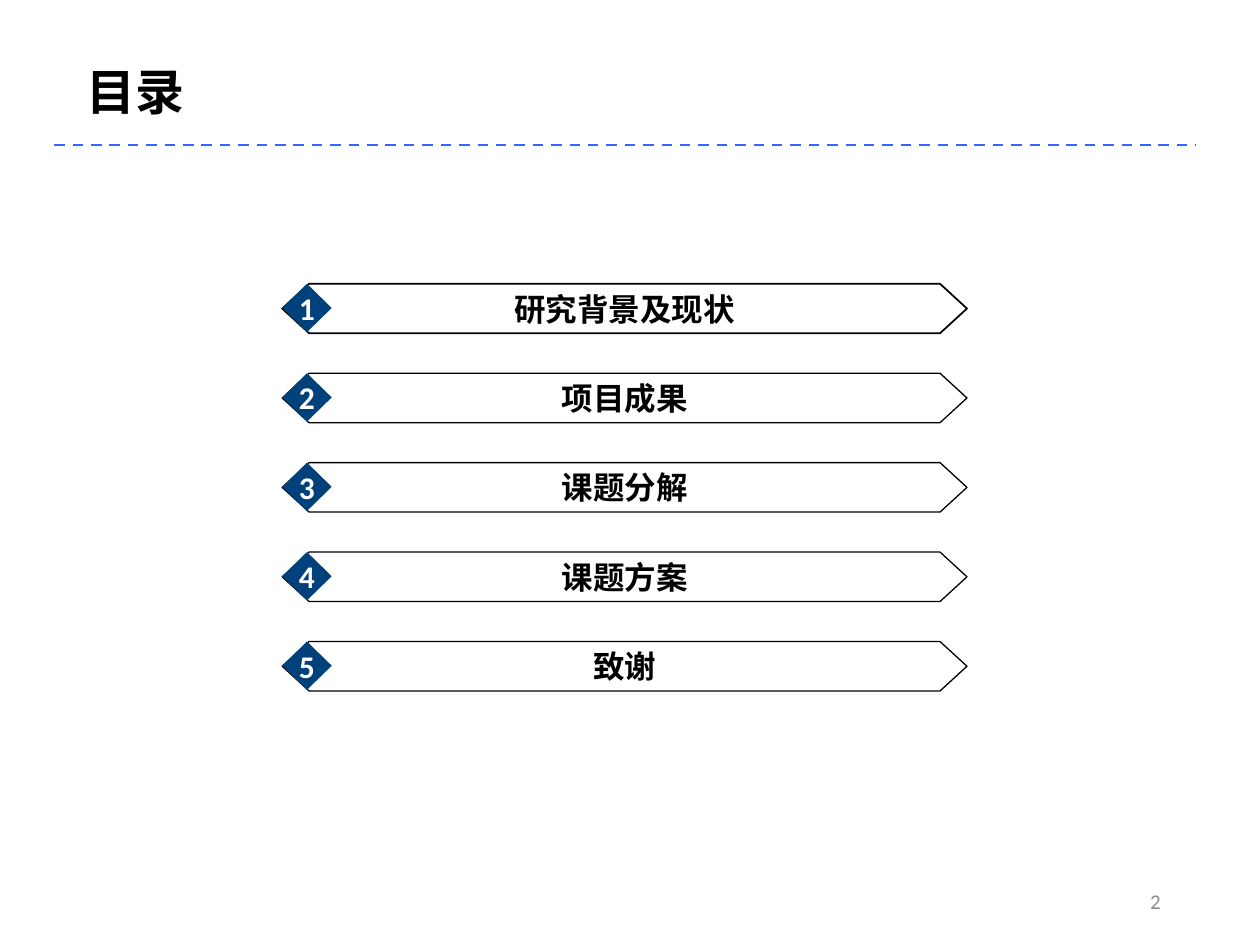
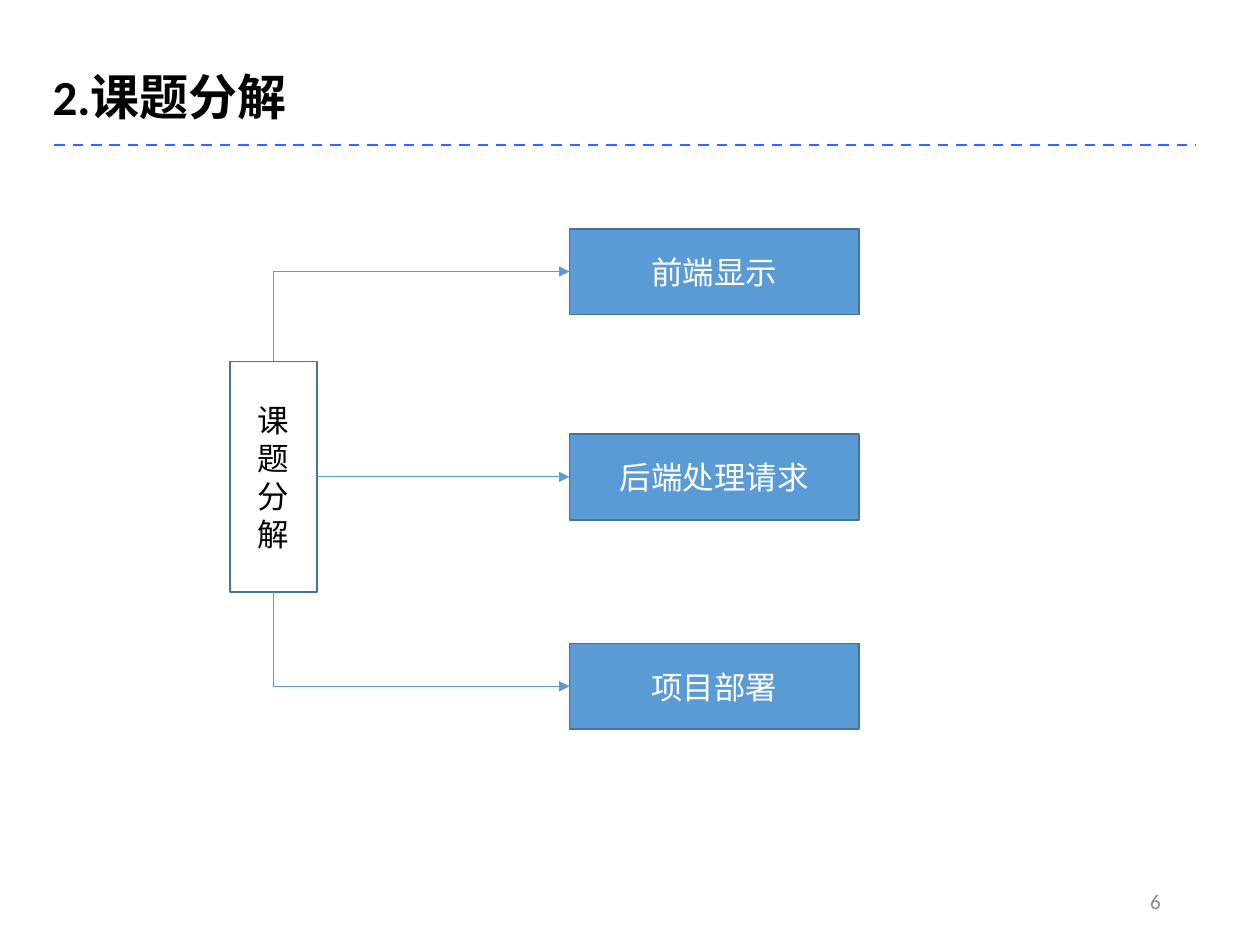
from lxml.etree import SubElement
from pptx import Presentation
from pptx.dml.color import RGBColor
from pptx.enum.dml import MSO_LINE
from pptx.enum.shapes import MSO_CONNECTOR, MSO_SHAPE
from pptx.enum.text import MSO_ANCHOR, PP_ALIGN
from pptx.oxml.ns import qn
from pptx.util import Pt

BLACK = RGBColor(0x00, 0x00, 0x00)
WHITE = RGBColor(0xFF, 0xFF, 0xFF)
GRAY = RGBColor(0x8C, 0x8C, 0x8C)
NAVY = RGBColor(0x00, 0x41, 0x7C)
BLUE = RGBColor(0x5B, 0x9B, 0xD5)
EDGE = RGBColor(0x43, 0x73, 0x9E)
RULE = RGBColor(0x33, 0x66, 0xFF)
FONT = "Calibri"


def write(shape, text, size, color, bold=False, align=PP_ALIGN.CENTER,
          anchor=MSO_ANCHOR.MIDDLE, wrap=True):
    frame = shape.text_frame
    frame.text = text
    frame.word_wrap = wrap
    frame.vertical_anchor = anchor
    for para in frame.paragraphs:
        para.alignment = align
        for run in para.runs:
            run.font.name = FONT
            run.font.size = Pt(size)
            run.font.bold = bold
            run.font.color.rgb = color


def draw(slide, kind, left, top, width, height, fill, line=None, weight=1):
    shape = slide.shapes.add_shape(kind, Pt(left), Pt(top), Pt(width), Pt(height))
    shape.shadow.inherit = False
    shape.fill.solid()
    shape.fill.fore_color.rgb = fill
    if line is None:
        shape.line.fill.background()
    else:
        shape.line.color.rgb = line
        shape.line.width = Pt(weight)
    return shape


deck = Presentation()
deck.slide_width = Pt(720)
deck.slide_height = Pt(540)

pages = []
for title, left, top, width, height, number in [
    ("目录", 42.5, 31.7, 111.6, 41, "2"),
    ("2.课题分解", 23, 34.6, 404.6, 41, "6"),
]:
    slide = deck.slides.add_slide(deck.slide_layouts[6])
    foot = slide.shapes.add_textbox(Pt(508.3), Pt(500.4), Pt(162), Pt(28.8))
    write(foot, number, 12, GRAY, align=PP_ALIGN.RIGHT)
    rule = slide.shapes.add_connector(
        MSO_CONNECTOR.STRAIGHT, Pt(31), Pt(82.8), Pt(683.3), Pt(82.8))
    rule.line.color.rgb = RULE
    rule.line.width = Pt(1.5)
    rule.line.dash_style = MSO_LINE.DASH
    SubElement(rule._element.spPr, qn("a:effectLst"))
    head = slide.shapes.add_textbox(Pt(left), Pt(top), Pt(width), Pt(height))
    write(head, title, 28, BLACK, bold=True, align=PP_ALIGN.LEFT,
          anchor=MSO_ANCHOR.TOP)
    pages.append(slide)

index, split = pages

topics = ["研究背景及现状", "项目成果", "课题分解", "课题方案", "致谢"]
for row, topic in enumerate(topics):
    top = 162.2 + row * 51.1
    bar = draw(index, MSO_SHAPE.HEXAGON, 161.3, top, 391.3, 28.3, WHITE, BLACK,
               1 if row == 0 else 0.75)
    bar.adjustments[0] = 0.544
    write(bar, topic, 18, BLACK, bold=True, wrap=False)
    badge = draw(index, MSO_SHAPE.DIAMOND, 161.3, top, 28.3, 27.6, NAVY)
    write(badge, str(row + 1), 18, WHITE, bold=True, wrap=False)

root = draw(split, MSO_SHAPE.RECTANGLE, 131.5, 206.5, 49.5, 132, WHITE, EDGE)
write(root, "课\n题\n分解", 18, BLACK)

for label, top, site, turn in [
    ("前端显示", 130.7, 0, 90),
    ("后端处理请求", 248, 3, 0),
    ("项目部署", 367.7, 2, 270),
]:
    box = draw(split, MSO_SHAPE.RECTANGLE, 325.4, top, 165.6, 49, BLUE, EDGE)
    write(box, label, 18, WHITE)
    kind = MSO_CONNECTOR.ELBOW if turn else MSO_CONNECTOR.STRAIGHT
    link = split.shapes.add_connector(kind, 0, 0, 0, 0)
    link.begin_connect(root, site)
    link.end_connect(box, 1)
    link.line.color.rgb = BLUE
    link.line.width = Pt(0.5)
    props = link._element.spPr
    SubElement(link.line._get_or_add_ln(), qn("a:tailEnd"), type="triangle")
    SubElement(props, qn("a:effectLst"))
    if turn:
        wide, high = link.width, link.height
        link.left += (wide - high) // 2
        link.top += (high - wide) // 2
        link.width, link.height = high, wide
        frame = props.find(qn("a:xfrm"))
        frame.set("rot", str(turn * 60000))
        frame.set("flipH", "1")
        props.find(qn("a:prstGeom")).set("prst", "bentConnector2")

deck.save("out.pptx")
